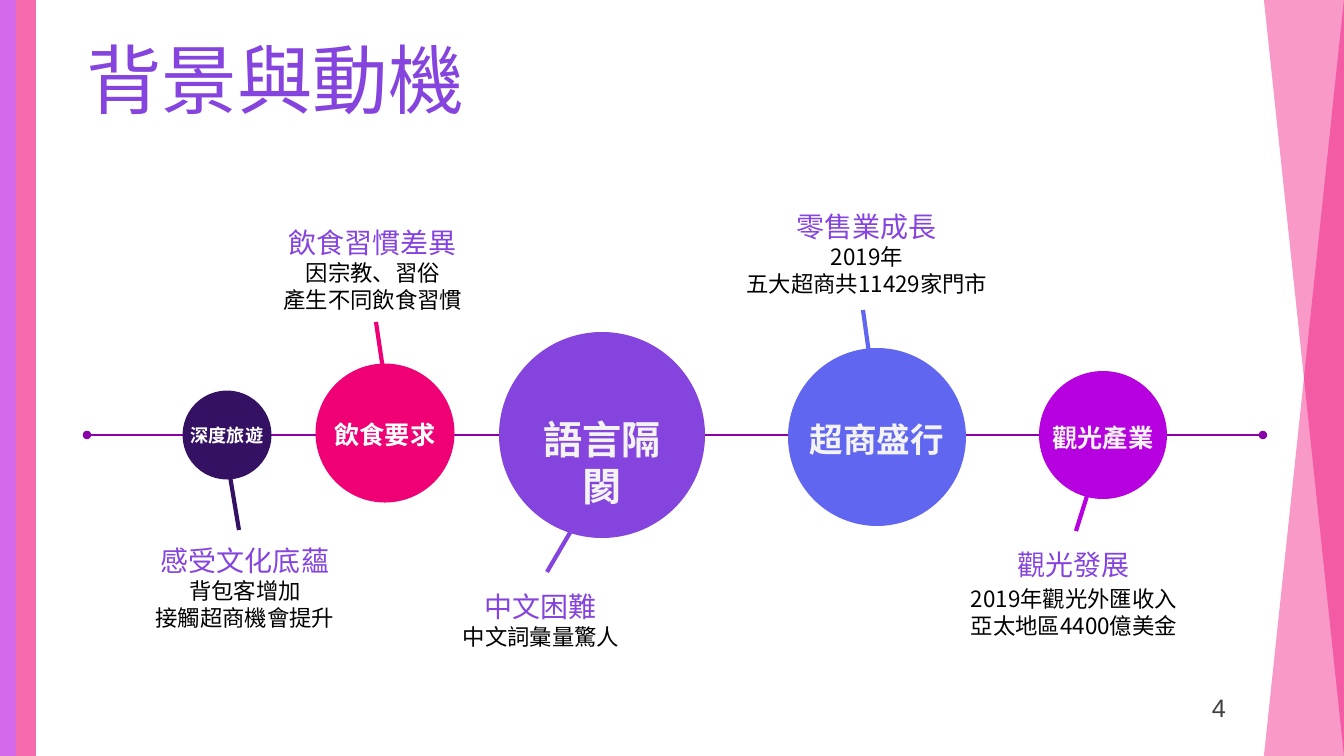
from lxml import etree
from pptx import Presentation
from pptx.dml.color import RGBColor
from pptx.enum.shapes import MSO_CONNECTOR as Line, MSO_SHAPE as Preset
from pptx.enum.text import MSO_ANCHOR as Anchor, MSO_AUTO_SIZE as AutoSize, PP_ALIGN as Align
from pptx.oxml.ns import qn
from pptx.util import Pt

TITLE = "背景與動機"
PAGE = "4"
CJK = "Noto Sans CJK SC"
VIOLET, PINK, PURPLE = "8544DE", "EF0074", "B600E0"
AXIS_COLOR = "8900A8"

# Lengths in px; a circle is (centre x, centre y, diameter), a label (centre y, width, pt)
TOPICS = [
    dict(name="深度旅遊", color="341163", circle=(227, 435, 89), label=(435, 103, 13, "FFFFFF"),
         stem=(230, 476, 239, 530), heading="感受文化底蘊", note="背包客增加\n接觸超商機會提升",
         heading_at=(245, 539), note_drop=33),
    dict(name="飲食要求", color=PINK, circle=(385, 433, 139), label=(434, 122, 18, "FFFFFF"),
         stem=(376, 322, 383, 369), heading="飲食習慣差異", note="因宗教、習俗\n產生不同飲食習慣",
         heading_at=(373, 221), note_drop=33),
    dict(name="語言隔閡", color=VIOLET, circle=(602, 435, 206), label=(462, 150, 28, "F3F3F3"),
         stem=(547, 572, 571, 531), heading="中文困難", note="中文詞彙量驚人",
         heading_at=(541, 585), note_drop=33),
    dict(name="超商盛行", color="6166F0", circle=(877, 437, 178), label=(439, 188, 24, "F3F3F3"),
         stem=(863, 310, 869, 353), heading="零售業成長", note="2019年\n五大超商共11429家門市",
         heading_at=(867, 205), note_drop=33),
    dict(name="觀光產業", color=PURPLE, circle=(1103, 435, 128), label=(437, 128, 18, "F3F3F3"),
         stem=(1076, 531, 1088, 493), heading="觀光發展", note="2019年觀光外匯收入\n亞太地區4400億美金",
         heading_at=(1074, 543), note_drop=37),
]
WIDTH, HEIGHT = 1344, 756
NOTE_WIDTH = 280
LINE_HEIGHT = 1.2


def px(*lengths):
    return [round(length * 914400 / 100.8) for length in lengths]


def rgb(color):
    return RGBColor.from_string(color)


def add_filled(preset, box, color, alpha=None):
    shape = slide.shapes.add_shape(preset, *px(*box))
    shape.shadow.inherit = False
    shape.fill.solid()
    shape.fill.fore_color.rgb = rgb(color)
    shape.line.fill.background()
    if alpha:
        tint = shape._element.spPr.find(qn("a:solidFill"))[0]
        etree.SubElement(tint, qn("a:alpha")).set("val", str(alpha * 1000))
    return shape


def add_line(ends, color, width):
    line = slide.shapes.add_connector(Line.STRAIGHT, *px(*ends))
    line.line.color.rgb = rgb(color)
    line.line.width = Pt(width)
    etree.SubElement(line._element.spPr, qn("a:effectLst"))
    return line


def write(frame, text, size, color, align=Align.CENTER, bold=False, font=CJK):
    frame.word_wrap = True
    frame.auto_size = AutoSize.NONE
    paragraph = frame.paragraphs[0]
    paragraph.text = text
    paragraph.alignment = align
    paragraph.space_before = Pt(0)
    paragraph.line_spacing = Pt(size * LINE_HEIGHT)
    paragraph.font.size = Pt(size)
    paragraph.font.bold = bold
    paragraph.font.color.rgb = rgb(color)
    paragraph.font.name = font
    # East Asian glyphs take their font from a separate element
    defaults = paragraph._p.pPr.find(qn("a:defRPr"))
    etree.SubElement(defaults, qn("a:ea")).set("typeface", font)


def add_text(box, *args, anchor=Anchor.TOP, **style):
    frame = slide.shapes.add_textbox(*px(*box)).text_frame
    frame.vertical_anchor = anchor
    write(frame, *args, **style)
    return frame


deck = Presentation()
deck.slide_width, deck.slide_height = px(WIDTH, HEIGHT)
slide = deck.slides.add_slide(deck.slide_layouts[5])

# Side bands
for flip_vertical in (True, False):
    wedge = add_filled(Preset.RIGHT_TRIANGLE, (1264, 0, 80, HEIGHT), PINK, alpha=40)
    xfrm = wedge._element.spPr.find(qn("a:xfrm"))
    xfrm.set("flipH", "1")
    if flip_vertical:
        xfrm.set("flipV", "1")
for left, color in ((0, PURPLE), (16, PINK)):
    add_filled(Preset.RECTANGLE, (left, 0, 20, HEIGHT), color)
add_filled(Preset.RECTANGLE, (0, 0, 64, HEIGHT), "FFFFFF", alpha=41)

# Title
title = slide.shapes.title
title.left, title.top, title.width, title.height = px(76, 38, 413, 80)
title.text_frame.vertical_anchor = Anchor.MIDDLE
write(title.text_frame, TITLE, 54, VIOLET, align=Align.LEFT)

# Timeline
axis = add_line((87, 435, 1263, 435), AXIS_COLOR, 2)
axis_ln = axis.line._get_or_add_ln()
for end in ("a:headEnd", "a:tailEnd"):
    etree.SubElement(axis_ln, qn(end)).set("type", "oval")

for topic in TOPICS:
    add_line(topic["stem"], topic["color"], 3)

    x, y, diameter = topic["circle"]
    add_filled(Preset.OVAL, (x - diameter / 2, y - diameter / 2, diameter, diameter), topic["color"])

    label_y, label_width, size, color = topic["label"]
    label = add_text((x - label_width / 2, label_y - 30, label_width, 60),
                     topic["name"], size, color, anchor=Anchor.MIDDLE, bold=True)
    label.margin_left = label.margin_right = 0

    x, y = topic["heading_at"]
    left = x - NOTE_WIDTH / 2
    add_text((left, y, NOTE_WIDTH, 44), topic["heading"], 20, VIOLET)
    note_height = 10 + 27 * len(topic["note"].split("\n"))
    add_text((left, y + topic["note_drop"], NOTE_WIDTH, note_height), topic["note"], 16, "000000")

add_text((1202, 687, 41, 40), PAGE, 18, "404040", align=Align.LEFT, font="Arial")

deck.save("out.pptx")
